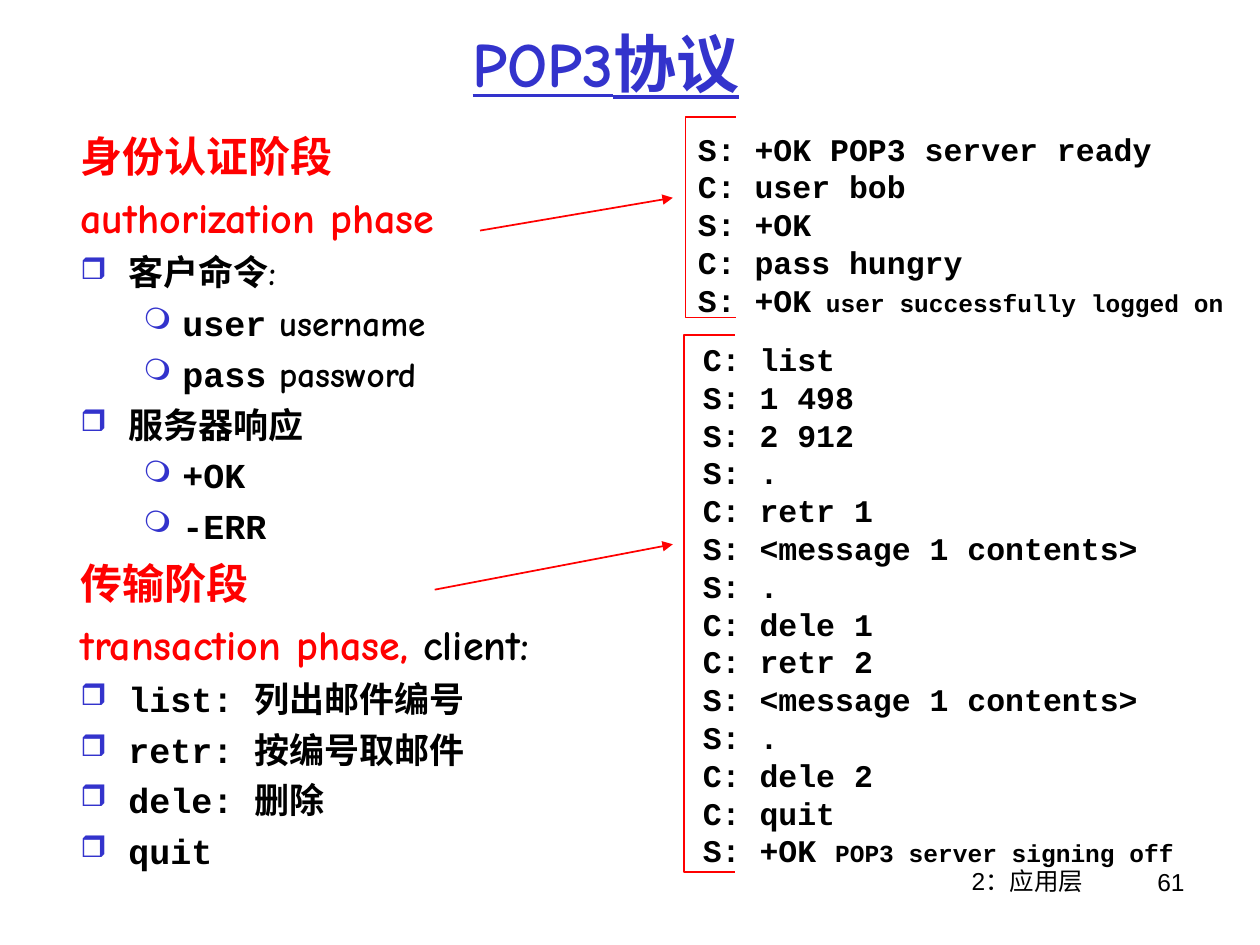
from pptx import Presentation
from pptx.dml.color import RGBColor
from pptx.enum.shapes import MSO_CONNECTOR as Connector
from pptx.enum.text import MSO_ANCHOR as Anchor, PP_ALIGN as Align
from pptx.oxml.ns import qn
from pptx.util import Inches, Pt
from lxml.etree import SubElement

BLACK = RGBColor(0x00, 0x00, 0x00)
RED = RGBColor(0xFF, 0x00, 0x00)
BLUE = RGBColor(0x33, 0x33, 0xCC)
COMIC, MONO, SANS = "Comic Neue", "Courier New", "Arial"

TITLE = {"name": COMIC, "size": Pt(36), "bold": True, "underline": True, "color": BLUE}
PHASE = {"name": COMIC, "size": Pt(24), "bold": True, "color": RED}
PHASE_NOTE = {**PHASE, "color": BLACK}
WORDS = {"name": COMIC, "size": Pt(20), "bold": True, "color": BLACK}
COMMAND = {**WORDS, "name": MONO}
DIALOG = {**COMMAND, "size": Pt(18)}
REMARK = {**COMMAND, "size": Pt(14)}
FOOTER = {"name": SANS, "size": Pt(14), "color": BLACK}

LEVELS = {
    "heading": {"indent": 0.38, "before": 6, "bullet": None},
    "item": {"indent": 0.38, "before": 5, "bullet": "❒"},
    "subitem": {"margin": 0.81, "indent": 0.31, "before": 5, "bullet": "❍"},
}

OUTLINE = [
    ("heading", [("身份认证阶段", PHASE)]),
    ("heading", [("authorization phase", PHASE)]),
    ("item", [("客户命令:", WORDS)]),
    ("subitem", [("user", COMMAND), (" username", WORDS)]),
    ("subitem", [("pass", COMMAND), (" password", WORDS)]),
    ("item", [("服务器响应", WORDS)]),
    ("subitem", [("+OK", COMMAND)]),
    ("subitem", [("-ERR", COMMAND)]),
    ("heading", [("传输阶段", PHASE)]),
    ("heading", [("transaction phase, ", PHASE), ("client:", PHASE_NOTE)]),
    ("item", [("list: ", COMMAND), ("列出邮件编号", WORDS)]),
    ("item", [("retr: ", COMMAND), ("按编号取邮件", WORDS)]),
    ("item", [("dele: ", COMMAND), ("删除", WORDS)]),
    ("item", [("quit", COMMAND)]),
]

LOGIN = ["S: +OK POP3 server ready", "C: user bob", "S: +OK", "C: pass hungry", "S: +OK"]
MAILBOX = [
    "C: list", "S: 1 498", "S: 2 912", "S: .",
    "C: retr 1", "S: <message 1 contents>", "S: .", "C: dele 1",
    "C: retr 2", "S: <message 1 contents>", "S: .", "C: dele 2",
    "C: quit", "S: +OK ",
]


def add_run(paragraph, text, style):
    run = paragraph.add_run()
    run.text = text
    for key, value in style.items():
        if key == "color":
            run.font.color.rgb = value
        else:
            setattr(run.font, key, value)


def add_frame(slide, left, top, width, height, wrap=True):
    box = slide.shapes.add_textbox(Inches(left), Inches(top), Inches(width), Inches(height))
    box.text_frame.word_wrap = wrap
    return box.text_frame


def next_paragraph(frame, index):
    return frame.add_paragraph() if index else frame.paragraphs[0]


def add_label(slide, text, style, bounds, align, anchor=Anchor.TOP):
    frame = add_frame(slide, *bounds)
    frame.vertical_anchor = anchor
    frame.paragraphs[0].alignment = align
    add_run(frame.paragraphs[0], text, style)


def set_level(paragraph, indent, before, bullet, margin=None):
    properties = paragraph._p.get_or_add_pPr()
    properties.set("marL", str(Inches(margin or indent)))
    properties.set("indent", str(-Inches(indent)))
    if bullet:
        tint = SubElement(properties, qn("a:buClr"))
        SubElement(tint, qn("a:srgbClr"), val=str(BLUE))
        SubElement(properties, qn("a:buSzPct"), val="85000")
        SubElement(properties, qn("a:buChar"), char=bullet)
    else:
        SubElement(properties, qn("a:buNone"))
    paragraph.space_before = Pt(before)


def add_outline(slide, entries, bounds):
    frame = add_frame(slide, *bounds)
    for index, (level, parts) in enumerate(entries):
        paragraph = next_paragraph(frame, index)
        set_level(paragraph, **LEVELS[level])
        if index == 0:
            paragraph.space_before = Pt(0)
        for text, style in parts:
            add_run(paragraph, text, style)


def add_dialog(slide, lines, remark, bounds):
    frame = add_frame(slide, *bounds, wrap=False)
    for index, line in enumerate(lines):
        paragraph = next_paragraph(frame, index)
        paragraph.line_spacing = Pt(21.6)
        add_run(paragraph, line, DIALOG)
    add_run(paragraph, remark, REMARK)


def add_bracket(slide, left, top, bottom, arm=0.4):
    right = left + arm
    corners = [(left, top), (left, bottom), (right, bottom)]
    builder = slide.shapes.build_freeform(Inches(right), Inches(top))
    builder.add_line_segments([(Inches(x), Inches(y)) for x, y in corners], close=False)
    bracket = builder.convert_to_shape()
    bracket.shadow.inherit = False
    bracket.fill.background()
    bracket.line.color.rgb = RED
    bracket.line.width = Pt(1)


def add_arrow(slide, start, end):
    arrow = slide.shapes.add_connector(Connector.STRAIGHT, *map(Inches, start + end))
    arrow.line.color.rgb = RED
    arrow.line.width = Pt(1)
    SubElement(arrow.line._get_or_add_ln(), qn("a:tailEnd"), type="triangle")
    SubElement(arrow._element.spPr, qn("a:effectLst"))


def main():
    deck = Presentation()
    deck.slide_width, deck.slide_height = Inches(10), Inches(7.5)
    slide = deck.slides.add_slide(deck.slide_layouts[6])

    add_label(slide, "2：应用层", FOOTER, (6.57, 6.82, 3.17, 0.52), Align.CENTER)
    add_label(slide, "61", FOOTER, (8.62, 6.83, 0.88, 0.52), Align.RIGHT)
    add_label(slide, "POP3协议", TITLE, (0.56, 0, 8.5, 0.99), Align.CENTER, Anchor.MIDDLE)
    add_outline(slide, OUTLINE, (0.54, 0.99, 4.34, 6.14))

    add_dialog(slide, MAILBOX, "POP3 server signing off", (5.48, 2.65, 3.94, 4.3))
    add_dialog(slide, LOGIN, " user successfully logged on", (5.44, 0.98, 4.38, 1.6))

    add_bracket(slide, 5.44, 0.93, 2.52)
    add_arrow(slide, (3.81, 1.83), (5.34, 1.57))
    add_bracket(slide, 5.43, 2.66, 6.92)
    add_arrow(slide, (3.45, 4.68), (5.34, 4.32))

    deck.save("out.pptx")


if __name__ == "__main__":
    main()
